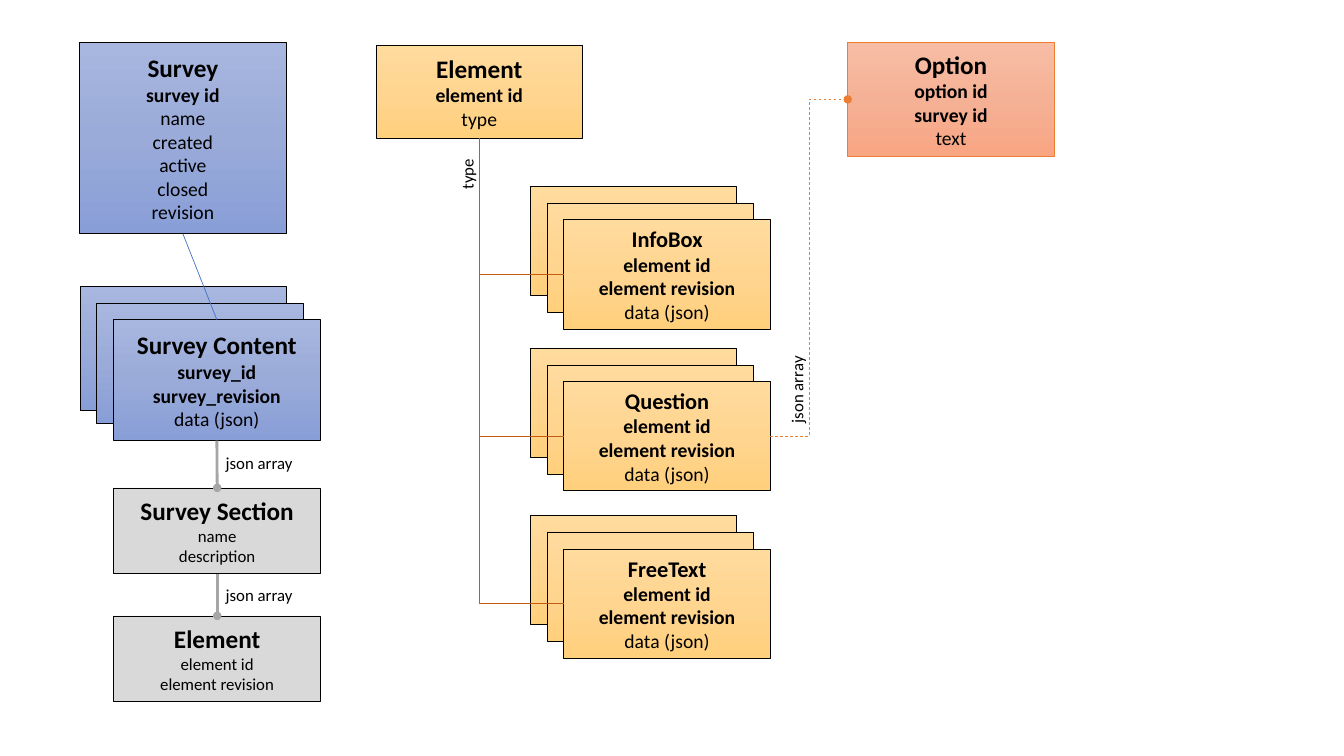
from copy import deepcopy

from lxml import etree
from pptx import Presentation
from pptx.dml.color import RGBColor
from pptx.enum.dml import MSO_LINE
from pptx.enum.shapes import MSO_CONNECTOR, MSO_SHAPE
from pptx.enum.text import MSO_ANCHOR, MSO_AUTO_SIZE, PP_ALIGN
from pptx.oxml.ns import qn
from pptx.util import Inches, Pt

RECT = MSO_SHAPE.RECTANGLE
STRAIGHT, ELBOW = MSO_CONNECTOR.STRAIGHT, MSO_CONNECTOR.ELBOW
DASH = MSO_LINE.DASH
MIDDLE, CENTER = MSO_ANCHOR.MIDDLE, PP_ALIGN.CENTER
FIT = MSO_AUTO_SIZE.SHAPE_TO_FIT_TEXT

COLS, ROWS = 80, 45
SLIDE_W, SLIDE_H = Inches(13.33), Inches(7.5)
BOX_COLS = 12.3
FONT = "Calibri"
BLACK, GREY, GREY_LINE = "000000", "D9D9D9", "A6A6A6"
ORANGE, RUST, BLUE_LINE = "ED7D31", "C55A11", "4472C4"
BLUE = ("A8B7DF", "9AABD9", "889ED7")
YELLOW = ("FFDB9E", "FFD590", "FFD07C")
SALMON = ("F7BDA5", "F5B196", "F8A582")


def color(hex_value):
    return RGBColor.from_string(hex_value)


def col(n):
    return round(SLIDE_W * n / COLS)


def row(n):
    return round(SLIDE_H * n / ROWS)


def apply(target, formats):
    for name, value in formats.items():
        setattr(target, name, value)


def write(p, text, size, bold=False):
    r = p.add_run()
    r.text = text
    apply(r.font, {"name": FONT, "size": Pt(size), "bold": bold})
    r.font.color.rgb = color(BLACK)


def paint(sp, fill):
    if isinstance(fill, str):
        sp.fill.solid()
        sp.fill.fore_color.rgb = color(fill)
        return
    sp.fill.gradient()
    sp.fill.gradient_angle = 270
    stops = sp._element.spPr.find(qn("a:gradFill")).find(qn("a:gsLst"))
    stops.insert(1, deepcopy(stops[0]))
    for i, (stop, tone) in enumerate(zip(sp.fill.gradient_stops, fill)):
        stop.color.rgb = color(tone)
        stop.position = i / 2


def box(s, x, y, h, fill, line=BLACK, title="", keys=(), fields=(), size=18, field_size=14):
    sp = s.shapes.add_shape(RECT, col(x), row(y), col(BOX_COLS), row(h))
    sp.shadow.inherit = False
    paint(sp, fill)
    sp.line.color.rgb = color(line)
    sp.line.width = Pt(0.5)
    tf = sp.text_frame
    apply(tf, {"word_wrap": True, "vertical_anchor": MIDDLE})
    lines = [(title, size, True)] if title else []
    lines += [(key, field_size, True) for key in keys]
    lines += [(field, field_size, False) for field in fields]
    for i, line_format in enumerate(lines):
        p = tf.add_paragraph() if i else tf.paragraphs[0]
        p.alignment = CENTER
        write(p, *line_format)
    return sp


def stack(s, x, y, h, fill, back_h, **text):
    box(s, x, y, back_h, fill)
    box(s, x + 1, y + 1, h, fill)
    return box(s, x + 2, y + 2, h, fill, **text)


def label(s, text, x, y, w, rotation=0):
    tb = s.shapes.add_textbox(col(x), row(y), col(w), row(1.82))
    tb.rotation = rotation
    apply(tb.text_frame, {"word_wrap": False, "auto_size": FIT})
    write(tb.text_frame.paragraphs[0], text, 12)


def top(sp):
    return sp.left + sp.width // 2, sp.top


def bottom(sp):
    return sp.left + sp.width // 2, sp.top + sp.height


def left(sp):
    return sp.left, sp.top + sp.height // 2


def right(sp):
    return sp.left + sp.width, sp.top + sp.height // 2


def connect(s, start, end, tone, width=0.5, kind=STRAIGHT, dash=None, dot=False):
    c = s.shapes.add_connector(kind, *start, *end)
    c.line.color.rgb = color(tone)
    apply(c.line, {"width": Pt(width), "dash_style": dash})
    if dot:
        etree.SubElement(c.line._get_or_add_ln(), qn("a:tailEnd"), type="oval")
    etree.SubElement(c._element.spPr, qn("a:effectLst"))
    return c


def branch(s, start, end):
    (x1, y1), (x2, y2) = start, end
    cx, cy = (x1 + x2) // 2, (y1 + y2) // 2
    half_w, half_h = (y2 - y1) // 2, (x2 - x1) // 2
    c = connect(s, (cx + half_w, cy - half_h), (cx - half_w, cy + half_h), RUST, kind=ELBOW)
    spPr = c._element.spPr
    spPr.find(qn("a:xfrm")).set("rot", str(270 * 60000))
    spPr.find(qn("a:prstGeom")).set("prst", "bentConnector2")


def survey_column(s):
    survey = box(s, 4.74, 2.52, 11.4, BLUE, title="Survey", keys=["survey id"],
                 fields=["name", "created", "active", "closed", "revision"])
    content = stack(s, 4.76, 17.03, 7.2, BLUE, 7.38, title="Survey Content",
                    keys=["survey_id", "survey_revision"], fields=["data (json)"])
    connect(s, bottom(survey), top(content), BLUE_LINE)
    parent = content
    for title, fields, y, label_y in (
        ("Survey Section", ["name", "description"], 29.04, 26.64),
        ("Element", ["element id", "element revision"], 36.66, 34.5),
    ):
        part = box(s, 6.78, y, 5.1, GREY, title=title, fields=fields, field_size=12)
        connect(s, bottom(parent), top(part), GREY_LINE, width=2, dot=True)
        label(s, "json array", 12.84, label_y, 5.22)
        parent = part


def element_column(s):
    element = box(s, 22.38, 2.7, 5.52, YELLOW, title="Element",
                  keys=["element id"], fields=["type"])
    kinds = {}
    for title, y in (("InfoBox", 11.08), ("Question", 20.72), ("FreeText", 30.68)):
        kinds[title] = stack(s, 31.56, y, 6.5, YELLOW, 6.5, title=title, size=16,
                             keys=["element id", "element revision"], fields=["data (json)"])
    for kind in kinds.values():
        branch(s, bottom(element), left(kind))
    label(s, "type", 26.28, 9.42, 3.06, rotation=270)
    return kinds["Question"]


def option_column(s, question):
    option = box(s, 50.46, 2.52, 6.8, SALMON, line=ORANGE, title="Option",
                 keys=["option id", "survey id"], fields=["text"])
    connect(s, right(question), left(option), ORANGE, kind=ELBOW, dash=DASH, dot=True)
    label(s, "json array", 44.82, 22.26, 5.22, rotation=270)


def main():
    prs = Presentation()
    apply(prs, {"slide_width": SLIDE_W, "slide_height": SLIDE_H})
    s = prs.slides.add_slide(prs.slide_layouts[6])
    survey_column(s)
    question = element_column(s)
    option_column(s, question)
    prs.save("out.pptx")


if __name__ == "__main__":
    main()
